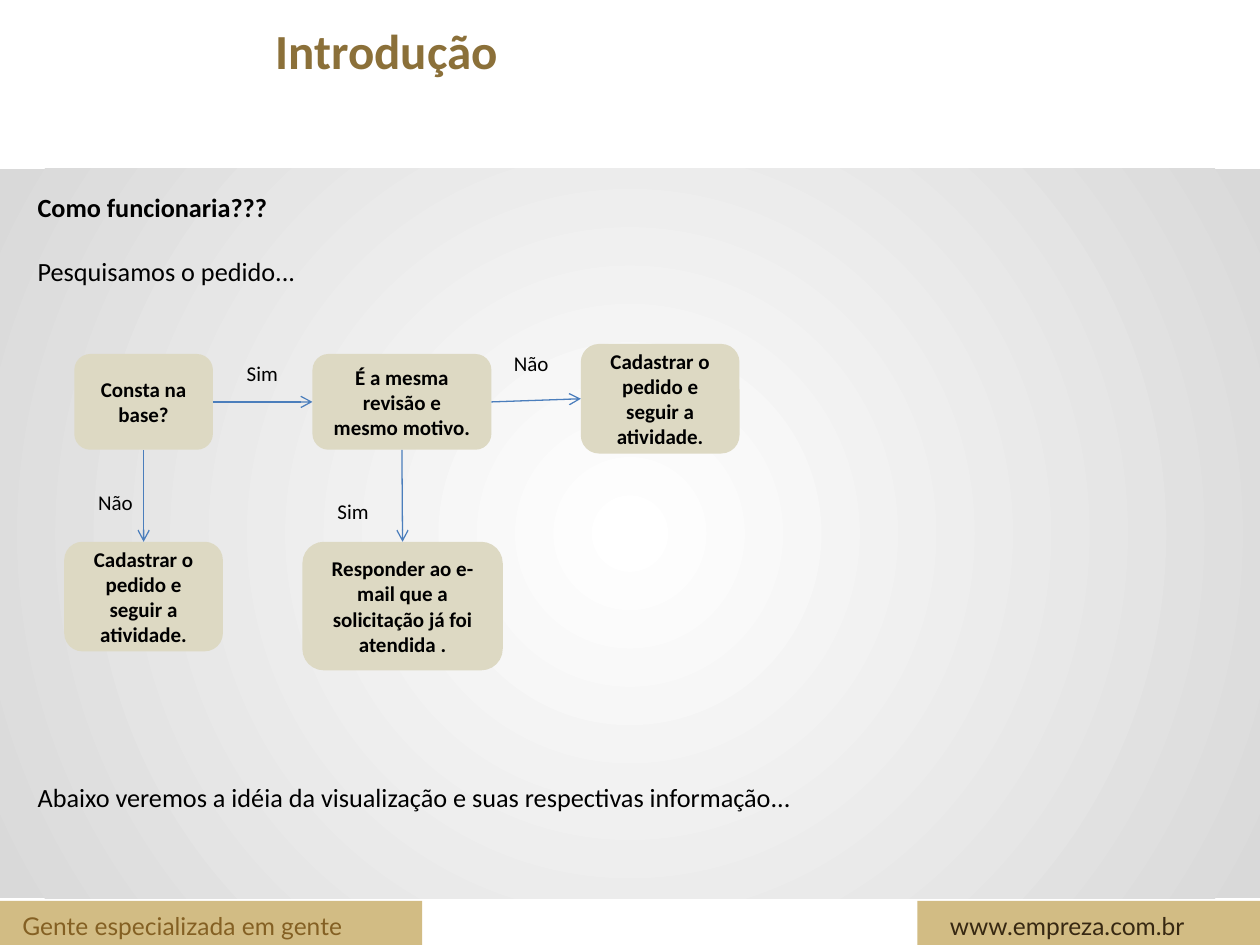
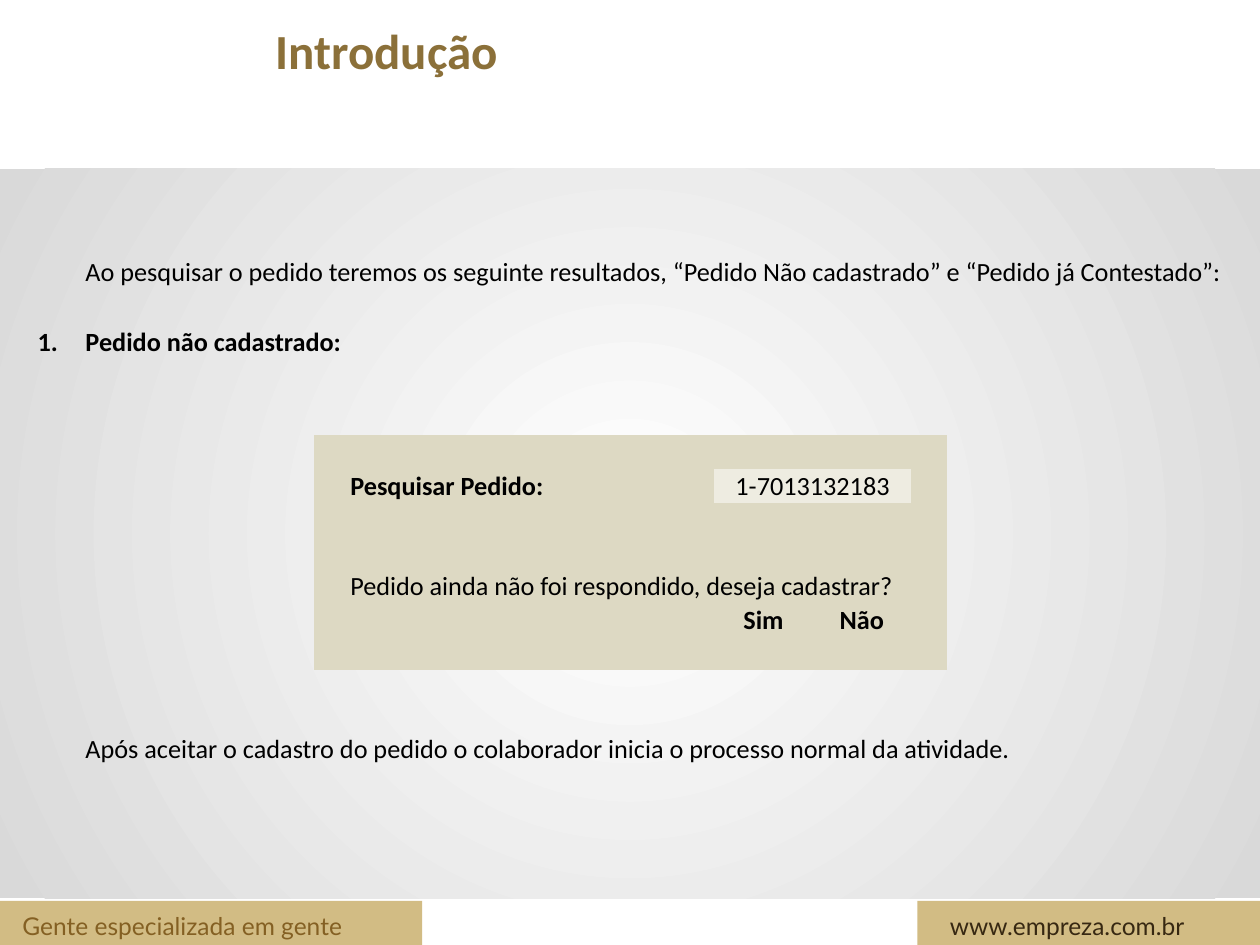
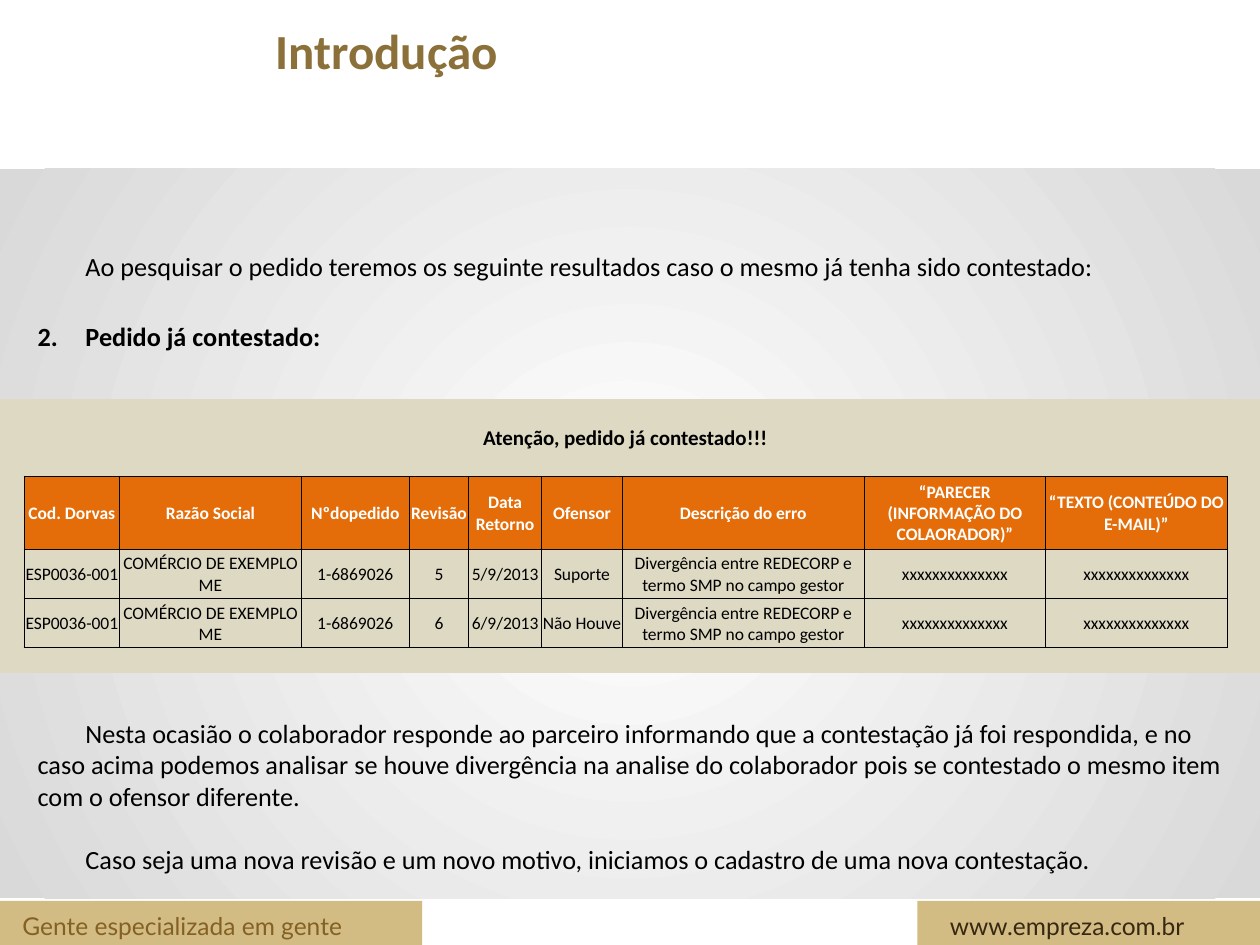
from dataclasses import dataclass
from typing import Optional

from lxml.etree import SubElement
from pptx import Presentation
from pptx.dml.color import RGBColor
from pptx.enum.shapes import MSO_CONNECTOR, MSO_SHAPE
from pptx.enum.text import MSO_ANCHOR, MSO_AUTO_SIZE, PP_ALIGN
from pptx.oxml.ns import qn
from pptx.shapes.autoshape import Shape
from pptx.slide import Slide
from pptx.table import Table, _Cell
from pptx.util import Inches, Pt

WHITE = RGBColor(0xFF, 0xFF, 0xFF)
BLACK = RGBColor(0x00, 0x00, 0x00)
GREY = RGBColor(0xD9, 0xD9, 0xD9)
GOLD = RGBColor(0xD2, 0xBC, 0x84)
BRONZE = RGBColor(0x8B, 0x70, 0x39)
BROWN = RGBColor(0x84, 0x60, 0x23)
DARK = RGBColor(0x37, 0x28, 0x12)
SAND = RGBColor(0xDD, 0xD9, 0xC3)
CREAM = RGBColor(0xEE, 0xEC, 0xE1)
ORANGE = RGBColor(0xE4, 0x6D, 0x0A)
BLUE = RGBColor(0x4B, 0x7E, 0xBC)

FONT = "Calibri"
BODY = 15
STEP = 0.38
PLAIN = "{2D5ABB26-0587-4C30-8999-92F81FD0307C}"  # table style without grid
TOP, LEFT, BOTTOM, RIGHT = range(4)  # connection sites of a box


@dataclass(frozen=True)
class Box:
    x: float
    y: float
    w: float
    h: float

    def lengths(self) -> list:
        return [Inches(n) for n in (self.x, self.y, self.w, self.h)]


@dataclass(frozen=True)
class Style:
    size: float = BODY
    bold: bool = False
    color: RGBColor = BLACK
    font: str = FONT


@dataclass(frozen=True)
class Node:
    key: str
    text: str
    box: Box


@dataclass(frozen=True)
class Link:
    start: str
    out: int
    end: str
    into: int
    label: str
    box: Box


REGISTER = "Cadastrar o pedido e seguir a atividade."
NODES = [
    Node("base", "Consta na base?", Box(0.59, 2.81, 1.1, 0.76)),
    Node("new", REGISTER, Box(0.51, 4.3, 1.26, 0.87)),
    Node("same", "É a mesma revisão e mesmo motivo.", Box(2.48, 2.81, 1.42, 0.76)),
    Node("reply", "Responder ao e-mail que a solicitação já foi atendida .",
         Box(2.4, 4.3, 1.59, 1.02)),
    Node("other", REGISTER, Box(4.61, 2.73, 1.26, 0.87)),
]
LINKS = [
    Link("base", BOTTOM, "new", TOP, "Não", Box(0.68, 3.84, 0.48, 0.3)),
    Link("base", RIGHT, "same", LEFT, "Sim", Box(1.86, 2.81, 0.45, 0.3)),
    Link("same", BOTTOM, "reply", TOP, "Sim", Box(2.58, 3.91, 0.45, 0.3)),
    Link("same", RIGHT, "other", LEFT, "Não", Box(3.98, 2.73, 0.48, 0.3)),
]

FORM = [0.29, 2.89, 0.78, 0.78, 0.29]
COLS = [0.19, 0.76, 1.44, 0.86, 0.47, 0.58, 0.64, 1.92, 1.44, 1.44, 0.26]
ROWS = [0.2, 0.2, 0.2, 0.58, 0.39, 0.39, 0.2]
HEADS = ["Cod. Dorvas", "Razão Social", "Nºdopedido", "Revisão", "Data Retorno",
         "Ofensor", "Descrição do erro", "“PARECER (INFORMAÇÃO DO COLAORADOR)”",
         "“TEXTO (CONTEÚDO DO E-MAIL)”"]
CASES = [("5", "5/9/2013", "Suporte"), ("6", "6/9/2013", "Não Houve")]


def paint(para, style: Style) -> None:
    font = para.font
    font.name, font.size, font.bold = style.font, Pt(style.size), style.bold
    font.color.rgb = style.color


def block(slide: Slide, kind: MSO_SHAPE, box: Box, fill: Optional[RGBColor]) -> Shape:
    shape = slide.shapes.add_shape(kind, *box.lengths())
    shape.shadow.inherit = False
    shape.line.fill.background()
    if fill is not None:
        shape.fill.solid()
        shape.fill.fore_color.rgb = fill
    return shape


def label(slide: Slide, box: Box, texts: list[str], style: Style, wrap: bool = True,
          margin: float = 0, indent: float = 0, number: int = 0) -> None:
    """Add a text box; paragraphs after the first stand one line apart."""
    frame = slide.shapes.add_textbox(*box.lengths()).text_frame
    frame.word_wrap = wrap
    frame.auto_size = MSO_AUTO_SIZE.SHAPE_TO_FIT_TEXT
    for i, text in enumerate(texts):
        para = frame.add_paragraph() if i else frame.paragraphs[0]
        para.text = text
        props = para._p.get_or_add_pPr()
        props.set("marL", str(Inches(margin)))
        props.set("indent", str(Inches(indent)))
        if i:
            para.space_before = Pt(18)
        if number:
            SubElement(props, qn("a:buFont"), typeface="+mj-lt")
            SubElement(props, qn("a:buAutoNum"), type="arabicPeriod", startAt=str(number))
        paint(para, style)


def line(slide: Slide, y: float, text: str, bold: bool = False, margin: float = 0,
         number: int = 0) -> None:
    indent = -margin if number else 0
    label(slide, Box(0.2, y, 9.61, 0.35), [text], Style(bold=bold),
          margin=margin, indent=indent, number=number)


def start(deck: Presentation) -> Slide:
    """Add a slide with the footer, the backdrop and the title."""
    slide = deck.slides.add_slide(deck.slide_layouts[6])
    for x, w in ((7.28, 2.72), (0, 3.35)):
        block(slide, MSO_SHAPE.RECTANGLE, Box(x, 7.15, w, 0.35), GOLD)
    label(slide, Box(0.08, 7.18, 3.26, 0.34), ["Gente especializada em gente"],
          Style(14, color=BROWN, font="Lato"), wrap=False)
    label(slide, Box(7.44, 7.18, 2.53, 0.34), ["www.empreza.com.br"],
          Style(14, color=DARK, font="Lato"), wrap=False)
    fill = block(slide, MSO_SHAPE.RECTANGLE, Box(0, 1.34, 10, 5.79), None).fill
    fill.gradient()
    for stop, color in zip(fill.gradient_stops, (WHITE, GREY)):
        stop.color.rgb = color
    grad = fill._xPr.find(qn("a:gradFill"))
    grad.remove(grad.find(qn("a:lin")))
    radial = SubElement(grad, qn("a:path"), path="circle")
    SubElement(radial, qn("a:fillToRect"), l="50000", t="50000", r="50000", b="50000")
    label(slide, Box(2.09, 0.11, 7.4, 0.57), ["Introdução"], Style(28, True, BRONZE))
    return slide


def connect(slide: Slide, link: Link, shapes: dict[str, Shape]) -> None:
    arrow = slide.shapes.add_connector(MSO_CONNECTOR.STRAIGHT, 0, 0, 0, 0)
    arrow.begin_connect(shapes[link.start], link.out)
    arrow.end_connect(shapes[link.end], link.into)
    arrow.line.color.rgb = BLUE
    arrow.line.width = Pt(0.75)
    SubElement(arrow.line._get_or_add_ln(), qn("a:tailEnd"), type="arrow")
    SubElement(arrow._element.spPr, qn("a:effectLst"))
    label(slide, link.box, [link.label], Style(12), wrap=False)


def shade(cell: _Cell, color: RGBColor) -> None:
    cell.fill.solid()
    cell.fill.fore_color.rgb = color


def grid(slide: Slide, x: float, y: float, cols: list[float], rows: list[float],
         size: float) -> Table:
    """Add a sand-coloured table whose empty cells keep the given text size."""
    box = Box(x, y, sum(cols), sum(rows))
    table = slide.shapes.add_table(len(rows), len(cols), *box.lengths()).table
    table.first_row = table.horz_banding = False
    table._tbl.tblPr.find(qn("a:tableStyleId")).text = PLAIN
    for col, width in zip(table.columns, cols):
        col.width = Inches(width)
    for row, height in zip(table.rows, rows):
        row.height = Inches(height)
    for cell in table.iter_cells():
        cell.margin_left = cell.margin_right = cell.margin_bottom = 0
        cell.margin_top = Inches(0.01)
        paint(cell.text_frame.paragraphs[0], Style(size))
        shade(cell, SAND)
    return table


def write(cell: _Cell, text: str, style: Style, align: PP_ALIGN = PP_ALIGN.CENTER,
          anchor: MSO_ANCHOR = MSO_ANCHOR.BOTTOM) -> None:
    cell.text = text
    cell.vertical_anchor = anchor
    para = cell.text_frame.paragraphs[0]
    para.alignment = align
    paint(para, style)


def rule(cell: _Cell, sides: list[str]) -> None:
    """Draw thin black borders, placed ahead of the cell's fill."""
    props = cell._tc.get_or_add_tcPr()
    for i, side in enumerate(sides):
        edge = SubElement(props, qn(f"a:ln{side}"), w=str(Pt(0.5)))
        solid = SubElement(edge, qn("a:solidFill"))
        SubElement(solid, qn("a:srgbClr"), val=str(BLACK))
        props.insert(i, edge)


def flow(deck: Presentation) -> None:
    slide = start(deck)
    line(slide, 1.47, "Como funcionaria???", bold=True)
    line(slide, 1.98, "Pesquisamos o pedido...")
    shapes = {}
    for node in NODES:
        shape = block(slide, MSO_SHAPE.ROUNDED_RECTANGLE, node.box, SAND)
        frame = shape.text_frame
        frame.text = node.text
        frame.word_wrap = True
        frame.vertical_anchor = MSO_ANCHOR.MIDDLE
        frame.paragraphs[0].alignment = PP_ALIGN.CENTER
        paint(frame.paragraphs[0], Style(12, True))
        shapes[node.key] = shape
    for link in LINKS:
        connect(slide, link, shapes)
    line(slide, 6.15, "Abaixo veremos a idéia da visualização e suas respectivas informação...")


def search(deck: Presentation) -> None:
    slide = start(deck)
    line(slide, 1.98, "Ao pesquisar o pedido teremos os seguinte resultados, "
         "“Pedido Não cadastrado” e “Pedido já Contestado”:", margin=STEP)
    line(slide, 2.53, "Pedido não cadastrado:", bold=True, margin=STEP, number=1)

    query = grid(slide, 2.49, 3.45, FORM, [0.27] * 3, BODY)
    write(query.cell(1, 1), "Pesquisar Pedido:", Style(bold=True), PP_ALIGN.LEFT)
    field = query.cell(1, 2)
    field.merge(query.cell(1, 3))
    write(field, "1-7013132183", Style())
    shade(field, CREAM)

    prompt = grid(slide, 2.49, 4.24, FORM, [0.54, 0.27, 0.27], BODY)
    prompt.cell(0, 1).merge(prompt.cell(0, 4))
    write(prompt.cell(0, 1), "Pedido ainda não foi respondido, deseja cadastrar?",
          Style(), PP_ALIGN.LEFT)
    for col, text in enumerate(("Sim", "Não"), 2):
        write(prompt.cell(1, col), text, Style(bold=True))
    line(slide, 5.76, "Após aceitar o cadastro do pedido o colaborador inicia "
         "o processo normal da atividade.", margin=STEP)


def dispute(deck: Presentation) -> None:
    slide = start(deck)
    line(slide, 1.94, "Ao pesquisar o pedido teremos os seguinte resultados "
         "caso o mesmo já tenha sido contestado:", margin=STEP)
    line(slide, 2.49, "Pedido já contestado:", bold=True, margin=STEP, number=2)

    table = grid(slide, 0, 3.17, COLS, ROWS, 10)
    table.cell(1, 1).merge(table.cell(1, 9))
    write(table.cell(1, 1), "Atenção, pedido já contestado!!!", Style(12, True))
    records = [HEADS] + [
        ["ESP0036-001", "COMÉRCIO DE EXEMPLO ME", "1-6869026", *case,
         "Divergência entre REDECORP e termo SMP no campo gestor", *["x" * 14] * 2]
        for case in CASES]
    for r, record in enumerate(records, 3):
        head = r == 3
        style = Style(10, head, WHITE if head else BLACK)
        for c, text in enumerate(record, 1):
            write(table.cell(r, c), text, style, anchor=MSO_ANCHOR.MIDDLE)
            if head:
                shade(table.cell(r, c), ORANGE)
    for r in range(len(ROWS)):
        for c in range(len(COLS)):
            across, down = 3 <= r <= 5, 1 <= c <= 9
            edges = {"L": across and c >= 1, "R": across and c <= 9,
                     "T": down and r >= 3, "B": down and 2 <= r <= 5}
            rule(table.cell(r, c), [side for side, drawn in edges.items() if drawn])

    label(slide, Box(0.2, 5.64, 9.61, 1.36), [
        "Nesta ocasião o colaborador responde ao parceiro informando que a contestação "
        "já foi respondida, e no caso acima podemos analisar se houve divergência na "
        "analise do colaborador pois se contestado o mesmo item com o ofensor diferente.",
        "Caso seja uma nova revisão e um novo motivo, iniciamos o cadastro de uma nova "
        "contestação."], Style(), indent=STEP)


def main() -> None:
    deck = Presentation()
    deck.slide_width, deck.slide_height = Inches(10), Inches(7.5)
    for build in (flow, search, dispute):
        build(deck)
    deck.save("out.pptx")


if __name__ == "__main__":
    main()
